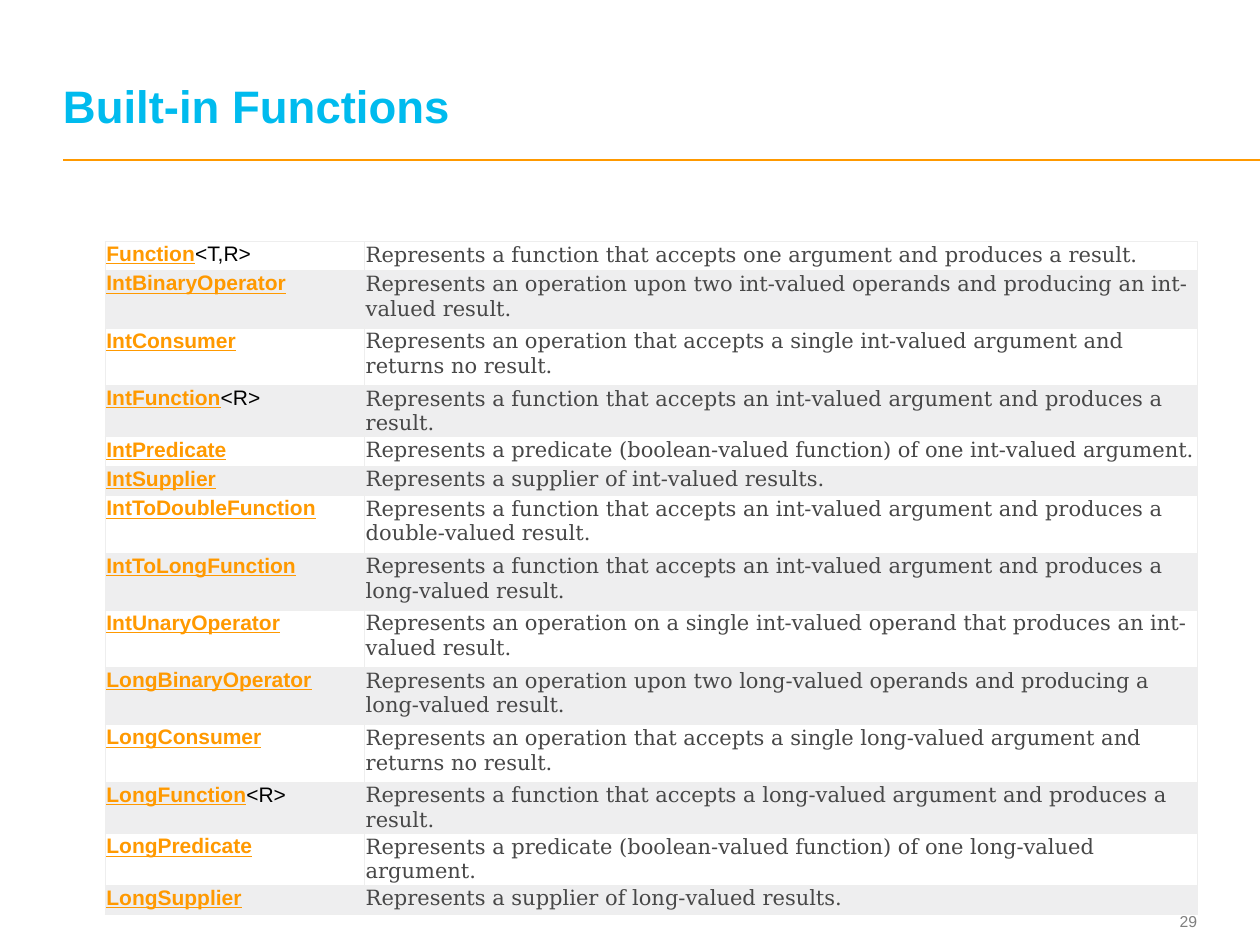
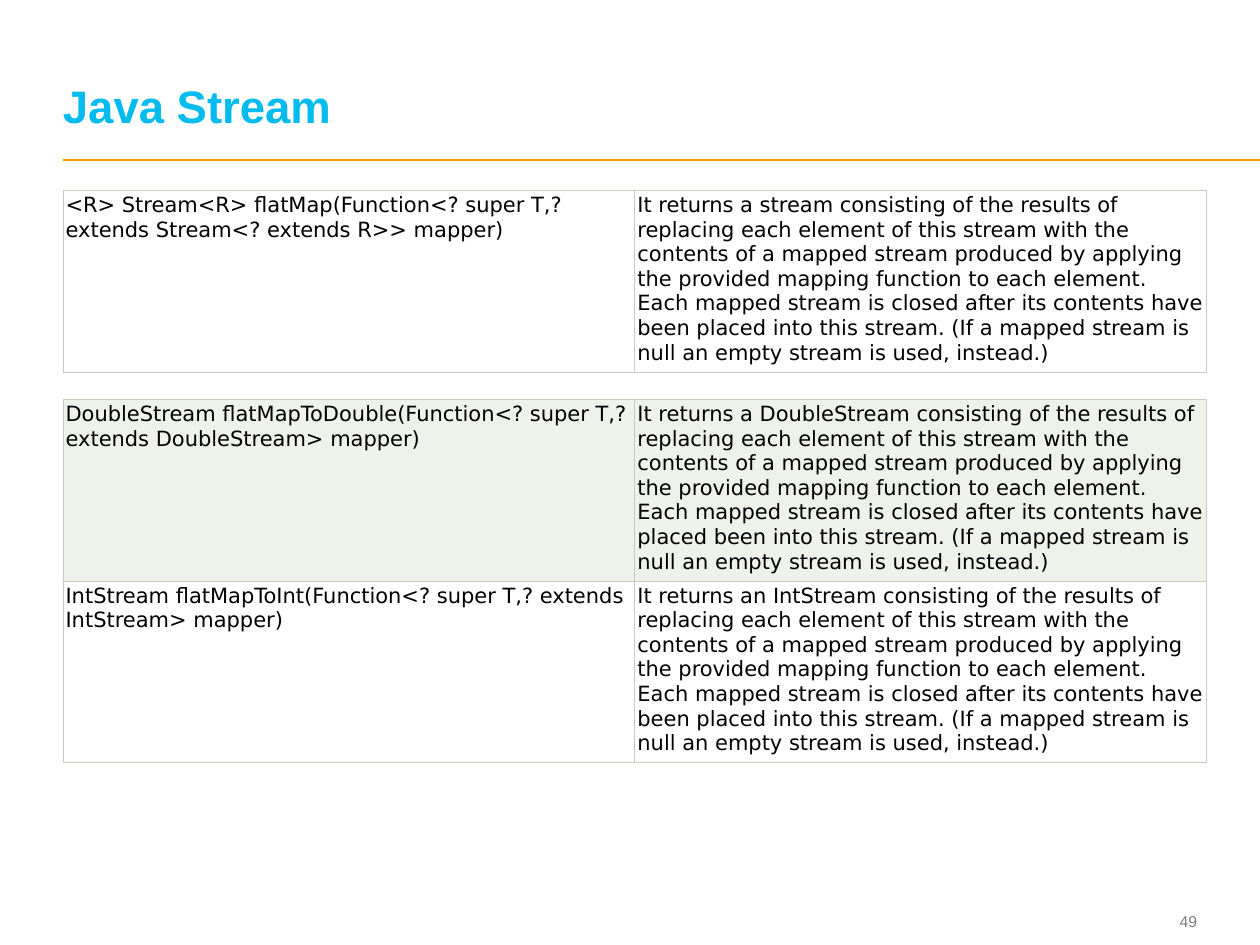
from itertools import cycle

from lxml.etree import SubElement
from pptx import Presentation
from pptx.dml.color import RGBColor
from pptx.enum.shapes import MSO_CONNECTOR
from pptx.enum.text import MSO_ANCHOR, PP_ALIGN
from pptx.oxml.ns import qn
from pptx.util import Pt

COLORS = {
    "title": "00BBEE",
    "accent": "FF9900",
    "page": "7F7F7F",
    "black": "000000",
    "body": "474747",
    "white": "FFFFFF",
    "grey band": "EEEEEF",
    "grey border": "EEEEEE",
    "green band": "EFF1EB",
    "green border": "C7CCBE",
}
HEADING = "Arial"
SERIF = "DejaVu Serif"
SANS = "DejaVu Sans"
MARGIN = 36

# Row heights: one line, two tight lines, two lines with room below
ONE, TIGHT, TWO = 16.8, 29, 32.75

# Interface, type parameters, description, row height
FUNCTIONS = [
    ("Function", "<T,R>", "Represents a function that accepts one argument and produces a result.", ONE),
    ("IntBinaryOperator", "", "Represents an operation upon two int-valued operands and producing an int-valued result.", TWO),
    ("IntConsumer", "", "Represents an operation that accepts a single int-valued argument and returns no result.", TWO),
    ("IntFunction", "<R>", "Represents a function that accepts an int-valued argument and produces a result.", TIGHT),
    ("IntPredicate", "", "Represents a predicate (boolean-valued function) of one int-valued argument.", ONE),
    ("IntSupplier", "", "Represents a supplier of int-valued results.", ONE),
    ("IntToDoubleFunction", "", "Represents a function that accepts an int-valued argument and produces a double-valued result.", TWO),
    ("IntToLongFunction", "", "Represents a function that accepts an int-valued argument and produces a long-valued result.", TWO),
    ("IntUnaryOperator", "", "Represents an operation on a single int-valued operand that produces an int-valued result.", TWO),
    ("LongBinaryOperator", "", "Represents an operation upon two long-valued operands and producing a long-valued result.", TWO),
    ("LongConsumer", "", "Represents an operation that accepts a single long-valued argument and returns no result.", TWO),
    ("LongFunction", "<R>", "Represents a function that accepts a long-valued argument and produces a result.", TIGHT),
    ("LongPredicate", "", "Represents a predicate (boolean-valued function) of one long-valued argument.", TIGHT),
    ("LongSupplier", "", "Represents a supplier of long-valued results.", ONE),
]


class Deck:
    """Holds the shared style and the current slide."""

    def __init__(self):
        self.prs = Presentation()
        self.prs.slide_width, self.prs.slide_height = Pt(720), Pt(540)
        self.slide = None

    def new_slide(self, title, number):
        self.slide = self.prs.slides.add_slide(self.prs.slide_layouts[6])
        self.rule(MARGIN, 91.44, 720)
        heading = self.text(MARGIN, 13.7, 645.8, 61.9, MSO_ANCHOR.BOTTOM)
        heading.line_spacing = Pt(26)
        self.run(heading, title, HEADING, 26, "title", bold=True)
        page = self.text(641.5, 517, 42.5, 19.4, MSO_ANCHOR.MIDDLE)
        page.alignment = PP_ALIGN.RIGHT
        self.run(page, str(number), HEADING, 9, "page")

    def rule(self, left, top, right):
        rule = self.slide.shapes.add_connector(
            MSO_CONNECTOR.STRAIGHT, Pt(left), Pt(top), Pt(right), Pt(top))
        rule.line.color.rgb = RGBColor.from_string(COLORS["accent"])
        rule.line.width = Pt(1)
        SubElement(rule.element.spPr, qn("a:effectLst"))

    def text(self, left, top, width, height, anchor):
        """Add a text box without insets and return its paragraph."""
        box = self.slide.shapes.add_textbox(Pt(left), Pt(top), Pt(width), Pt(height))
        frame = box.text_frame
        frame.word_wrap = True
        frame.vertical_anchor = anchor
        frame.margin_left = frame.margin_top = frame.margin_right = frame.margin_bottom = 0
        return frame.paragraphs[0]

    def run(self, paragraph, words, font, size, color, bold=False, underline=False):
        run = paragraph.add_run()
        run.text = words
        run.font.name, run.font.size = font, Pt(size)
        run.font.bold, run.font.underline = bold, underline
        run.font.color.rgb = RGBColor.from_string(COLORS[color])

    def table(self, left, top, widths, heights, rows, fills, border, insets):
        """Add a table; each cell is a list of (words, run style) pairs."""
        table = self.slide.shapes.add_table(
            len(rows), len(widths), Pt(left), Pt(top), Pt(sum(widths)), Pt(sum(heights))).table
        table.first_row = table.horz_banding = False
        for column, width in zip(table.columns, widths):
            column.width = Pt(width)
        for row, height, contents, fill in zip(table.rows, heights, rows, cycle(fills)):
            row.height = Pt(height)
            for cell, runs in zip(row.cells, contents):
                self.cell(cell, runs, fill, border, insets)

    def cell(self, cell, runs, fill, border, insets):
        (cell.margin_left, cell.margin_top,
         cell.margin_right, cell.margin_bottom) = map(Pt, insets)
        for side in ("lnL", "lnR", "lnT", "lnB"):
            edge = SubElement(cell._tc.get_or_add_tcPr(), qn(f"a:{side}"), w=str(Pt(0.6)))
            solid = SubElement(edge, qn("a:solidFill"))
            SubElement(solid, qn("a:srgbClr"), val=COLORS[border])
        cell.fill.solid()
        cell.fill.fore_color.rgb = RGBColor.from_string(COLORS[fill])
        for words, style in runs:
            self.run(cell.text_frame.paragraphs[0], words, size=12, **style)


def stream_row(signature, returned, closing="been placed"):
    plain = {"font": SANS, "color": "black"}
    description = (
        f"It returns {returned} consisting of the results of replacing each element of this "
        "stream with the contents of a mapped stream produced by applying the provided mapping "
        "function to each element. Each mapped stream is closed after its contents have "
        f"{closing} into this stream. (If a mapped stream is null an empty stream is used, instead.)")
    return [[(signature, plain)], [(description, plain)]]


def built_in_functions(deck):
    deck.new_slide("Built-in Functions", 29)
    interface = {"font": HEADING, "color": "accent", "bold": True, "underline": True}
    parameters = {"font": HEADING, "color": "black"}
    description = {"font": SERIF, "color": "body"}
    rows = []
    for name, types, meaning, _ in FUNCTIONS:
        name_runs = [(name, interface)]
        if types:
            name_runs.append((types, parameters))
        rows.append([name_runs, [(meaning, description)]])
    deck.table(60.2, 138, [148.2, 476], [height for *_, height in FUNCTIONS], rows,
               ["white", "grey band"], "grey border", (0.6, 0.6, 0, 0))


def java_stream(deck):
    deck.new_slide("Java Stream", 49)
    flat_map = [stream_row(
        "<R> Stream<R> flatMap(Function<? super T,? extends Stream<? extends R>> mapper)",
        "a stream")]
    primitive_maps = [
        stream_row("DoubleStream flatMapToDouble(Function<? super T,? extends DoubleStream> mapper)",
                   "a DoubleStream", "placed been"),
        stream_row("IntStream flatMapToInt(Function<? super T,? extends IntStream> mapper)",
                   "an IntStream"),
    ]
    for top, rows, fills in ((108.8, flat_map, ["white"]),
                             (228.2, primitive_maps, ["green band", "white"])):
        deck.table(MARGIN, top, [326.8] * 2, [101.4] * len(rows), rows,
                   fills, "green border", [1.5] * 4)


def main():
    deck = Deck()
    built_in_functions(deck)
    java_stream(deck)
    deck.prs.save("out.pptx")


if __name__ == "__main__":
    main()
